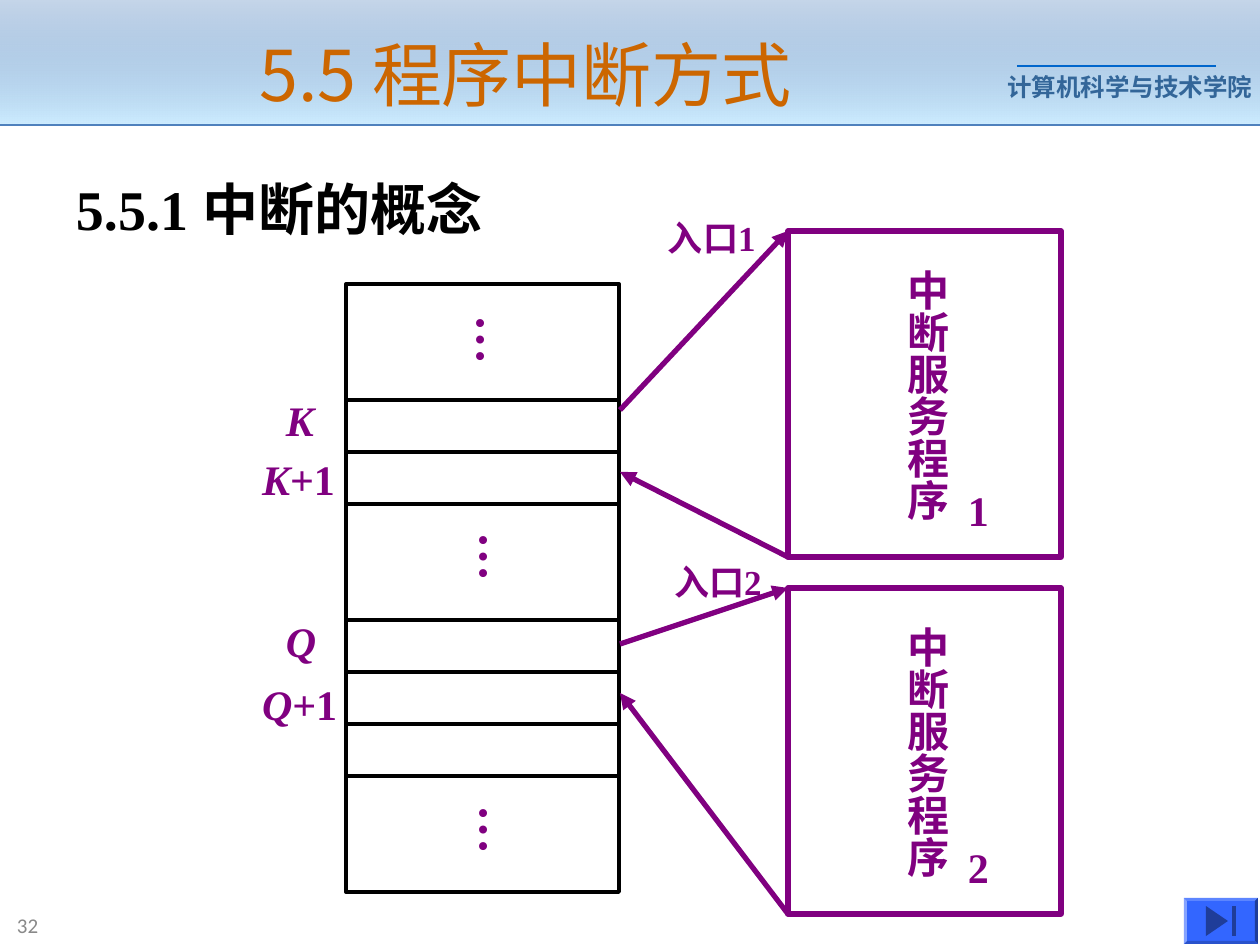
from lxml import etree
from pptx import Presentation
from pptx.dml.color import RGBColor
from pptx.enum.shapes import MSO_CONNECTOR, MSO_SHAPE
from pptx.enum.text import MSO_ANCHOR, MSO_AUTO_SIZE, PP_ALIGN
from pptx.oxml.ns import qn
from pptx.util import Pt

RECTANGLE, STRAIGHT = MSO_SHAPE.RECTANGLE, MSO_CONNECTOR.STRAIGHT
TOP, MIDDLE, CENTER = MSO_ANCHOR.TOP, MSO_ANCHOR.MIDDLE, PP_ALIGN.CENTER
FIT, FIXED = MSO_AUTO_SIZE.SHAPE_TO_FIT_TEXT, MSO_AUTO_SIZE.NONE
EMU_PER_PX = 914400 / 126
SERIF, SANS = "Times New Roman", "Noto Sans CJK SC"
PURPLE, BLACK = "800080", "000000"

# Content: all places are in px
TITLE = "5.5 程序中断方式"
SECTION = "5.5.1 中断的概念"
SCHOOL = "计算机科学与技术学院"
PAGE_NUMBER = "32"
SERVICE_NAME = "中断服务程序"

TALL, SHORT = 116, 52
MEMORY_LEFT, MEMORY_TOP, MEMORY_WIDTH = 346, 284, 273
MEMORY_ROWS = [TALL, SHORT, SHORT, TALL, SHORT, SHORT, SHORT, TALL]
ELLIPSES = [(449, 303), (452, 520), (452, 793)]
ADDRESSES = [  # italic part, upright part, box
    ("K", "", (273, 389, 60, 63)),
    ("K", "+1", (249, 448, 120, 63)),
    ("Q", "", (273, 610, 60, 63)),
    ("Q", "+1", (249, 673, 120, 63)),
]
SERVICE_LEFT, SERVICE_WIDTH, SERVICE_HEIGHT = 788, 273, 326
MEMORY_RIGHT = MEMORY_LEFT + MEMORY_WIDTH + 1
SERVICES = [
    dict(number="1", top=231, leave=410, resume=472,
         entry="入口1", entry_box=(655, 210, 147, 55)),
    dict(number="2", top=588, leave=644, resume=693,
         entry="入口2", entry_box=(661, 554, 147, 55)),
]

# Button outlines: outer and inner corners, then the icon
OUTER = [(1184, 898), (1258, 898), (1258, 944), (1184, 944)]
INNER = [(1187, 901), (1255, 901), (1255, 941), (1187, 941)]
BEVEL_COLOURS = ["5C85FF", "1F3D99", "2952CC", "85A3FF"]
ICON = [
    [(1228, 921), (1206, 936), (1206, 906)],
    [(1232, 906), (1232, 936), (1236, 936), (1236, 906)],
]


def px(value):
    return round(value * EMU_PER_PX)


def colour(code):
    return RGBColor.from_string(code)


def write(frame, text, size, ink=PURPLE, font=SERIF, bold=True, lead="",
          align=None, anchor=TOP, grow=True, vertical=False, insets=(13, 6)):
    """Format a text frame; lead is an italic run before the text."""
    frame.word_wrap = not vertical
    frame.auto_size = FIT if grow else FIXED
    frame.vertical_anchor = anchor
    across, down = insets[::-1] if vertical else insets
    frame.margin_left = frame.margin_right = px(across)
    frame.margin_top = frame.margin_bottom = px(down)
    if vertical:
        frame._txBody.bodyPr.set("vert", "eaVert")
    para = frame.paragraphs[0]
    para.alignment = align
    for part, italic in ((lead, True), (text, False)):
        if part:
            span = para.add_run()
            span.text = part
            span.font.name, span.font.size = font, Pt(size)
            span.font.bold, span.font.italic = bold, italic
            span.font.color.rgb = colour(ink)
            east_asian = etree.SubElement(span.font._element, qn("a:ea"))
            east_asian.set("typeface", SANS)


def add_text(slide, box, text, size, **style):
    shape = slide.shapes.add_textbox(*map(px, box))
    write(shape.text_frame, text, size, **style)


def add_box(slide, box, ink, width):
    shape = slide.shapes.add_shape(RECTANGLE, *map(px, box))
    shape.shadow.inherit = False
    shape.fill.background()
    shape.line.color.rgb = colour(ink)
    shape.line.width = Pt(width)


def add_line(slide, start, end, ink, width, arrow=False):
    line = slide.shapes.add_connector(STRAIGHT, *map(px, start + end))
    line.line.color.rgb = colour(ink)
    line.line.width = Pt(width)
    if arrow:
        tail = etree.SubElement(line.line._get_or_add_ln(), qn("a:tailEnd"))
        tail.set("type", "triangle")
    etree.SubElement(line._element.spPr, qn("a:effectLst"))


def add_polygon(slide, points, fill):
    (left, top), *rest = [(px(x), px(y)) for x, y in points]
    builder = slide.shapes.build_freeform(left, top)
    builder.add_line_segments(rest, close=True)
    shape = builder.convert_to_shape()
    shape.shadow.inherit = False
    shape.fill.solid()
    shape.fill.fore_color.rgb = colour(fill)
    shape.line.fill.background()


def add_header(slide):
    band = slide.shapes.add_shape(RECTANGLE, 0, 0, px(1260), px(125))
    band.shadow.inherit = False
    band.line.fill.background()
    band.fill.gradient()
    band.fill.gradient_angle = 270
    stops = band.fill.gradient_stops
    for stop, code, position in zip(stops, ("4F81BD", "CCECFF"), (0, 1)):
        stop.color.rgb = colour(code)
        stop.position = position
    first_colour = band._element.spPr.find(".//" + qn("a:srgbClr"))
    etree.SubElement(first_colour, qn("a:alpha")).set("val", "32000")
    add_text(slide, (1007, 66, 248, 43), SCHOOL, 14, ink="336699",
             font="Arial", insets=(0, 6))
    add_line(slide, (1017, 66), (1216, 66), "0066CC", 0.75)
    add_line(slide, (0, 125), (1260, 125), "4F81BD", 1.5)

    # The title goes in front of the band
    title = slide.shapes.title
    title.left, title.top, title.width, title.height = map(
        px, (94, 21, 863, 105))
    write(title.text_frame, TITLE, 40, ink="CC6600", font=SANS, bold=False,
          align=CENTER, anchor=MIDDLE, grow=False)
    title._element.getparent().append(title._element)


def add_memory(slide):
    top = MEMORY_TOP
    for height in MEMORY_ROWS:
        add_box(slide, (MEMORY_LEFT, top, MEMORY_WIDTH, height), BLACK, 2.25)
        top += height
    for left, top in ELLIPSES:
        add_text(slide, (left, top, 83, 62), "…", 28, vertical=True)
    for lead, text, box in ADDRESSES:
        add_text(slide, box, text, 24, lead=lead)


def add_service(slide, number, top, leave, resume, entry, entry_box):
    bottom = top + SERVICE_HEIGHT
    add_box(slide, (SERVICE_LEFT, top, SERVICE_WIDTH, SERVICE_HEIGHT),
            PURPLE, 3)
    add_text(slide, (SERVICE_LEFT + 94, top + 26, 76, 265), SERVICE_NAME, 24,
             vertical=True)
    add_text(slide, (SERVICE_LEFT + 167, top + 248, 50, 63), number, 24)
    add_line(slide, (MEMORY_RIGHT, leave), (SERVICE_LEFT, top),
             PURPLE, 3, arrow=True)
    add_line(slide, (SERVICE_LEFT, bottom), (MEMORY_RIGHT, resume),
             PURPLE, 3, arrow=True)
    add_text(slide, entry_box, entry, 20)


def add_button(slide):
    add_polygon(slide, OUTER, "3366FF")
    for side, fill in enumerate(BEVEL_COLOURS):
        after = (side + 1) % 4
        add_polygon(slide, [OUTER[side], OUTER[after],
                            INNER[after], INNER[side]], fill)
    for outline in ICON:
        add_polygon(slide, outline, "1F3D99")


def main():
    deck = Presentation()
    deck.slide_width, deck.slide_height = px(1260), px(945)
    slide = deck.slides.add_slide(deck.slide_layouts[5])
    add_header(slide)
    add_text(slide, (63, 168, 508, 81), SECTION, 32, ink=BLACK)
    add_memory(slide)
    for service in SERVICES:
        add_service(slide, **service)
    add_text(slide, (4, 905, 278, 40), PAGE_NUMBER, 12, ink="898989",
             font="Calibri", bold=False, anchor=MIDDLE, grow=False)
    add_button(slide)
    deck.save("out.pptx")


if __name__ == "__main__":
    main()
